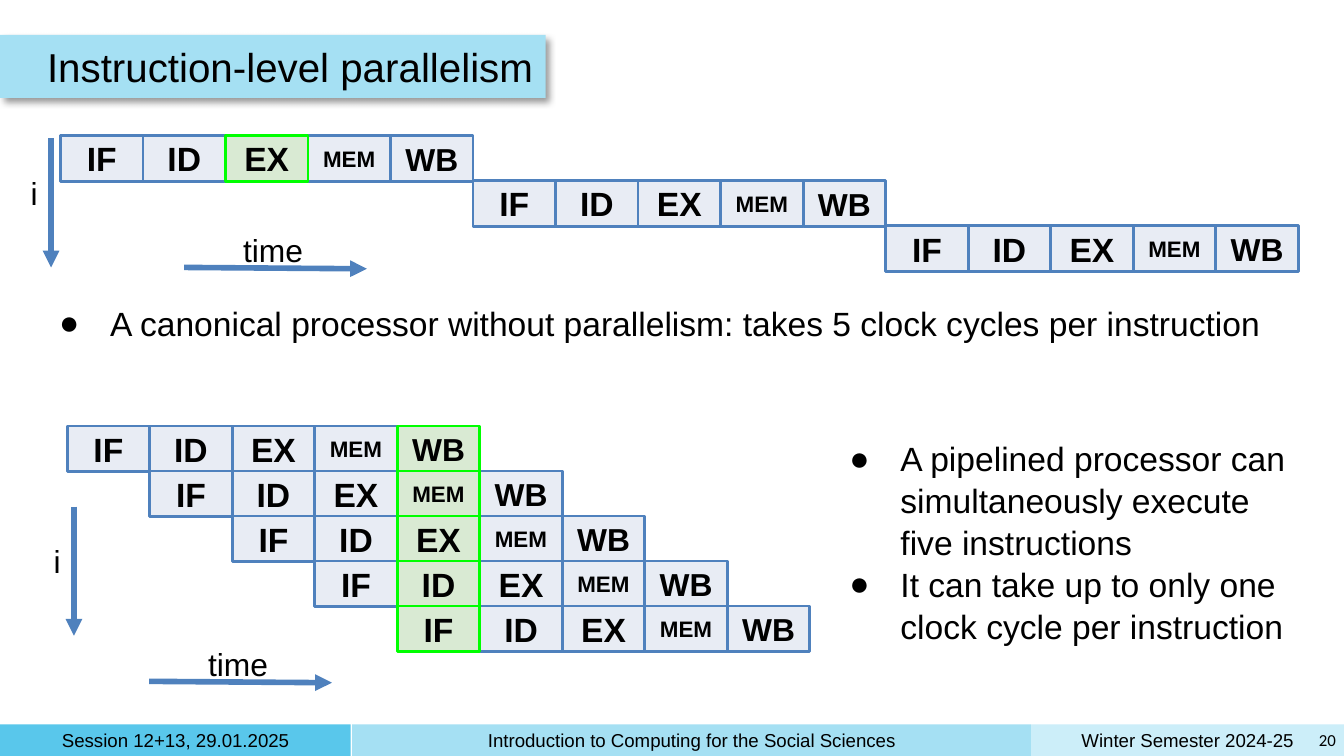
from lxml import etree
from pptx import Presentation
from pptx.dml.color import RGBColor
from pptx.enum.shapes import MSO_CONNECTOR, MSO_SHAPE
from pptx.enum.text import MSO_ANCHOR, MSO_AUTO_SIZE, PP_ALIGN
from pptx.oxml.ns import qn
from pptx.util import Inches, Pt

RECTANGLE = MSO_SHAPE.RECTANGLE
STRAIGHT = MSO_CONNECTOR.STRAIGHT
TOP, MIDDLE = MSO_ANCHOR.TOP, MSO_ANCHOR.MIDDLE
LEFT, CENTER, RIGHT = PP_ALIGN.LEFT, PP_ALIGN.CENTER, PP_ALIGN.RIGHT
NO_FIT = MSO_AUTO_SIZE.NONE
TWO_CONTENT = 3

COLORS = {
    "text": "000000", "band": "A5E0F3", "session": "59C7EB", "term": "CCEEF9",
    "stage": "E8ECF4", "edge": "4F81BD", "active": "D9EAD3", "active_edge": "00FF00",
}
STAGES = {"IF": 18, "ID": 18, "EX": 18, "MEM": 12, "WB": 17}  # name: text size

# All places are in columns and rows of a square grid, 100 columns to the slide width
COLUMNS, ROWS = 100, 56.25
STAGE_WIDTH, STAGE_HEIGHT, ROW_STEP = 6.14, 3.4, 3.35


def color(name):
    return RGBColor.from_string(COLORS[name])


class SlideBuilder:
    def __init__(self, deck, font="Arial"):
        self.font = font
        self.unit = deck.slide_width / COLUMNS
        self.page = deck.slides.add_slide(deck.slide_layouts[TWO_CONTENT])
        self.shapes = self.page.shapes

    def grid(self, *values):
        return [round(value * self.unit) for value in values]

    def fill_text(self, box, lines, size, align=LEFT, anchor=TOP, inset=1, bold=False, font=None):
        frame = box.text_frame
        frame.word_wrap = True
        frame.auto_size = NO_FIT
        frame.vertical_anchor = anchor
        margin, = self.grid(inset)
        frame.margin_left = frame.margin_right = margin
        frame.margin_top = frame.margin_bottom = margin
        for index, line in enumerate(lines):
            para = frame.add_paragraph() if index else frame.paragraphs[0]
            para.alignment = align
            span = para.add_run()
            span.text = line
            span.font.name = font or self.font
            span.font.size = Pt(size)
            span.font.bold = bold
            span.font.color.rgb = color("text")

    def rectangle(self, place, fill, edge=None):
        box = self.shapes.add_shape(RECTANGLE, *self.grid(*place))
        box.shadow.inherit = False
        box.fill.solid()
        box.fill.fore_color.rgb = color(fill)
        if edge:
            box.line.color.rgb = color(edge)
            box.line.width = Pt(1.5)
        else:
            box.line.fill.background()
        return box

    def move(self, box, place):
        box.left, box.top, box.width, box.height = self.grid(*place)

    def title(self, text):
        band = self.rectangle((0, 2.6, 40.6, 4.7), "band")
        effects = band.element.spPr.find(qn("a:effectLst"))
        shadow = etree.SubElement(effects, qn("a:outerShdw"), blurRad=str(Pt(4)),
                                  dist=str(Pt(3)), dir="2700000", algn="bl", rotWithShape="0")
        black = etree.SubElement(shadow, qn("a:srgbClr"), val=COLORS["text"])
        etree.SubElement(black, qn("a:alpha"), val="40000")
        heading = self.shapes.title
        self.move(heading, (3, 2.6, 37.7, 4.7))
        self.fill_text(heading, [text], 21.6, anchor=MIDDLE, inset=0.5)
        heading.element.addprevious(band.element)  # the band lies behind the heading

    def bullets(self, index, place, lines):
        box = self.page.placeholders[index]
        self.move(box, place)
        self.fill_text(box, lines, 18)
        for para in box.text_frame.paragraphs:
            props = para._p.get_or_add_pPr()
            props.set("marL", str(Inches(0.5)))
            props.set("indent", str(Inches(-0.38)))
            tint = etree.SubElement(props, qn("a:buClr"))
            etree.SubElement(tint, qn("a:srgbClr"), val=COLORS["text"])
            etree.SubElement(props, qn("a:buFont"), typeface=self.font)
            etree.SubElement(props, qn("a:buChar"), char="●")
            para.space_before = Pt(0)
            para.line_spacing = 1.04

    def label(self, text, place, size, **style):
        box = self.shapes.add_textbox(*self.grid(*place))
        self.fill_text(box, [text], size, **style)

    def arrow(self, start, end):
        line = self.shapes.add_connector(STRAIGHT, *self.grid(*start, *end))
        line.line.color.rgb = color("edge")
        line.line.width = Pt(3)
        etree.SubElement(line.line._get_or_add_ln(), qn("a:tailEnd"), type="triangle")
        etree.SubElement(line.element.spPr, qn("a:effectLst"))

    def axes(self, down, across):
        """Draw the instruction arrow and the time arrow with their labels."""
        (x, y), (left, top) = down, across
        self.arrow(down, (x, y + 9.6))
        self.label("i", (x - 2.5, y + 1.6, 3.2, 4.9), 17)
        self.arrow(across, (left + 13.6, top + 0.1))
        self.label("time", (left + 3.4, top - 3.7, 6.8, 4.9), 17)

    def pipeline(self, left, top, instructions, delay, active):
        """Draw one row per instruction, each `delay` cycles later; light up cells in `active`."""
        cells = [(row, row * delay + step, name)
                 for row in range(instructions) for step, name in enumerate(STAGES)]
        cells.sort(key=lambda cell: cell[:2] in active)  # lit edges go on top
        for row, cycle, name in cells:
            lit = (row, cycle) in active
            place = (left + cycle * STAGE_WIDTH, top + row * ROW_STEP, STAGE_WIDTH, STAGE_HEIGHT)
            box = self.rectangle(place, "active" if lit else "stage",
                                 "active_edge" if lit else "edge")
            self.fill_text(box, [name], STAGES[name], CENTER, MIDDLE, bold=True)

    def footer(self, parts, number):
        for left, width, fill, text in parts:
            box = self.rectangle((left, 53.9, width, 2.4), fill)
            self.fill_text(box, [text], 10, CENTER, MIDDLE, inset=0.5)
        self.label(number, (97.5, 53.8, 2.4, 2.5), 9, align=RIGHT, anchor=MIDDLE,
                   inset=0.5, font="Calibri")


def main():
    deck = Presentation()
    deck.slide_width = Inches(10)
    deck.slide_height = round(deck.slide_width * ROWS / COLUMNS)
    slide = SlideBuilder(deck)

    slide.footer([
        (76.7, 23.3, "term", "Winter Semester 2024-25"),
        (0, 26.1, "session", "Session 12+13, 29.01.2025"),
        (26.2, 50.5, "band", "Introduction to Computing for the Social Sciences"),
    ], "20")
    slide.title("Instruction-level parallelism")

    slide.pipeline(4.5, 10.1, instructions=3, delay=5, active={(0, 2)})
    slide.axes((3.8, 10.3), (13.7, 19.9))
    slide.bullets(1, (2.2, 21.4, 95.2, 5), [
        "A canonical processor without parallelism: takes 5 clock cycles per instruction",
    ])

    slide.pipeline(5, 31.7, instructions=5, delay=1, active={(row, 4) for row in range(5)})
    slide.axes((5.5, 37.7), (11.1, 50.7))
    slide.bullets(2, (61, 31.5, 36.4, 17.2), [
        "A pipelined processor can simultaneously execute five instructions",
        "It can take up to only one clock cycle per instruction",
    ])
    deck.save("out.pptx")


if __name__ == "__main__":
    main()
